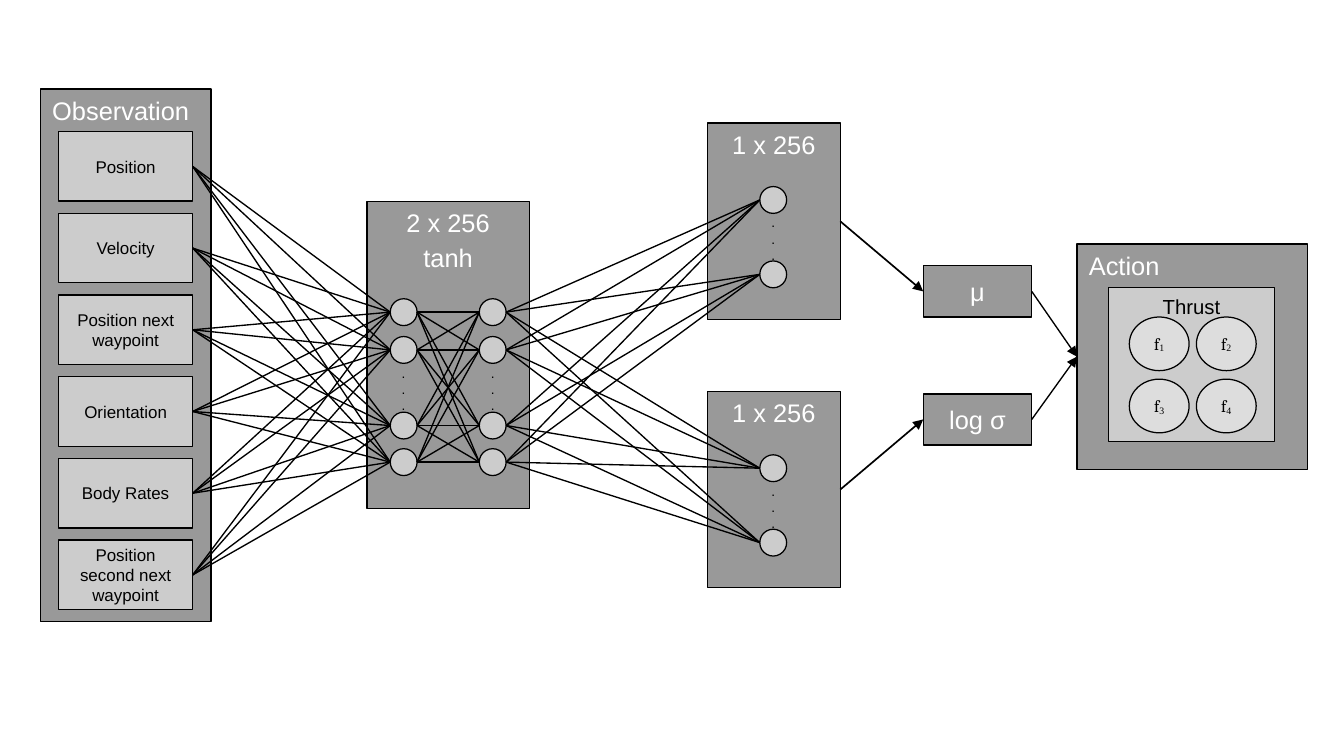
from itertools import product

from lxml.etree import SubElement
from pptx import Presentation
from pptx.dml.color import RGBColor
from pptx.enum.shapes import MSO_CONNECTOR, MSO_SHAPE
from pptx.enum.text import MSO_ANCHOR, PP_ALIGN
from pptx.oxml.ns import qn
from pptx.util import Inches, Pt

COLORS = {
    "panel": "999999",
    "box": "CCCCCC",
    "thrust": "DDDDDD",
    "ink": "000000",
    "light": "FFFFFF",
}
OBSERVATIONS = [
    "Position",
    "Velocity",
    "Position next waypoint",
    "Orientation",
    "Body Rates",
    "Position second next waypoint",
]
NEURON = 0.22
LINE_WIDTH = 0.79


def color(name):
    return RGBColor.from_string(COLORS[name])


def add_filled(slide, kind, left, top, width, height, fill, line_width):
    shape = slide.shapes.add_shape(
        kind, Inches(left), Inches(top), Inches(width), Inches(height))
    shape.shadow.inherit = False
    shape.fill.solid()
    shape.fill.fore_color.rgb = color(fill)
    shape.line.color.rgb = color("ink")
    shape.line.width = Pt(line_width)
    return shape


def write(shape, lines, size, ink, align=PP_ALIGN.CENTER,
          anchor=MSO_ANCHOR.TOP, space_before=2.9):
    frame = shape.text_frame
    frame.word_wrap = True
    frame.vertical_anchor = anchor
    frame.text = "\n".join(lines)
    for paragraph in frame.paragraphs:
        paragraph.alignment = align
        paragraph.space_before = Pt(space_before)
        paragraph.font.name = "Arial"
        paragraph.font.size = Pt(size)
        paragraph.font.color.rgb = color(ink)


def add_panel(slide, left, top, width, height, *lines, **text_format):
    panel = add_filled(slide, MSO_SHAPE.RECTANGLE, left, top, width, height,
                       "panel", LINE_WIDTH)
    write(panel, lines, 15, "light", **text_format)
    return panel


def add_box(slide, left, top, width, height, label, size, anchor):
    box = add_filled(slide, MSO_SHAPE.RECTANGLE, left, top, width, height,
                     "box", LINE_WIDTH)
    write(box, [label], size, "ink", anchor=anchor)
    return box


def add_neurons(slide, center_x, centers_y, dots_top):
    """Draw one column of neurons with its dots; return the centres."""
    for y in centers_y:
        add_filled(slide, MSO_SHAPE.OVAL, center_x - NEURON / 2,
                   y - NEURON / 2, NEURON, NEURON, "box", 0)
    dots = slide.shapes.add_textbox(
        Inches(center_x - 0.15), Inches(dots_top), Inches(0.3), Inches(0.47))
    dots.text_frame.margin_left = dots.text_frame.margin_right = 0
    write(dots, "...", 8, "ink", space_before=0)
    return [(center_x, y) for y in centers_y]


def add_line(slide, start=(0, 0), end=(0, 0), width=LINE_WIDTH):
    line = slide.shapes.add_connector(
        MSO_CONNECTOR.STRAIGHT, *(Inches(v) for v in (*start, *end)))
    line.line.color.rgb = color("ink")
    line.line.width = Pt(width)
    SubElement(line._element.spPr, qn("a:effectLst"))
    return line


def add_arrow(slide, source, target, width=LINE_WIDTH):
    arrow = add_line(slide, width=width)
    arrow.begin_connect(source, 3)
    arrow.end_connect(target, 1)
    SubElement(arrow.line._get_or_add_ln(), qn("a:tailEnd"), type="triangle")


def connect_layers(slide, sources, targets):
    """Join the right side of every source neuron to every target neuron."""
    for (x1, y1), (x2, y2) in product(sources, targets):
        add_line(slide, (x1 + NEURON / 2, y1), (x2 - NEURON / 2, y2))


def add_observation(slide):
    add_panel(slide, 0.33, 0.73, 1.4, 4.37, "Observation",
              align=PP_ALIGN.LEFT, space_before=0)
    return [add_box(slide, 0.48, 1.08 + 0.67 * row, 1.1, 0.57, label, 10,
                    MSO_ANCHOR.MIDDLE)
            for row, label in enumerate(OBSERVATIONS)]


def add_head(slide, top):
    """Draw an output layer; return its panel and neuron centres."""
    panel = add_panel(slide, 5.8, top, 1.09, 1.61, "1 x 256")
    return panel, add_neurons(slide, 6.34, [top + 0.63, top + 1.24], top + 0.7)


def add_thrust(slide, left, top, number):
    thrust = add_filled(slide, MSO_SHAPE.OVAL, left, top, 0.49, 0.44,
                        "thrust", 0)
    frame = thrust.text_frame
    frame.margin_left = frame.margin_right = 0
    frame.vertical_anchor = MSO_ANCHOR.MIDDLE
    paragraph = frame.paragraphs[0]
    paragraph.alignment = PP_ALIGN.CENTER
    paragraph.font.size = Pt(10)
    paragraph.font.color.rgb = color("ink")
    for text, font in (("f", "Cambria"), (str(number), "Times New Roman")):
        run = paragraph.add_run()
        run.text = text
        run.font.name = font
    run._r.get_or_add_rPr().set("baseline", "-8000")


def add_action(slide):
    panel = add_panel(slide, 8.83, 2, 1.89, 1.85, "Action",
                      align=PP_ALIGN.LEFT, space_before=0)
    add_box(slide, 9.09, 2.36, 1.36, 1.26, "Thrust", 12, MSO_ANCHOR.TOP)
    for index, (row, column) in enumerate(product(range(2), repeat=2)):
        add_thrust(slide, 9.26 + 0.55 * column, 2.6 + 0.51 * row, index + 1)
    return panel


def main():
    deck = Presentation()
    deck.slide_width, deck.slide_height = Inches(11.02), Inches(6.2)
    slide = deck.slides.add_slide(deck.slide_layouts[6])

    observations = add_observation(slide)
    add_panel(slide, 3.01, 1.65, 1.33, 2.52, "2 x 256", "tanh")
    first_layer, second_layer = (
        add_neurons(slide, x, [2.56, 2.87, 3.49, 3.79], 2.94)
        for x in (3.31, 4.04))
    heads = [add_head(slide, top) for top in (1.01, 3.21)]
    outputs = [
        add_panel(slide, 7.57, top, 0.89, 0.42, label,
                  anchor=MSO_ANCHOR.MIDDLE)
        for top, label in ((2.18, "μ"), (3.23, "log σ"))]
    action = add_action(slide)

    for observation, (x, y) in product(observations, first_layer):
        line = add_line(slide, end=(x - NEURON / 2, y))
        line.begin_connect(observation, 3)
    connect_layers(slide, first_layer, second_layer)
    for (panel, neurons), output in zip(heads, outputs):
        connect_layers(slide, second_layer, neurons)
        add_arrow(slide, panel, output, width=1)
        add_arrow(slide, output, action)

    deck.save("out.pptx")


if __name__ == "__main__":
    main()
